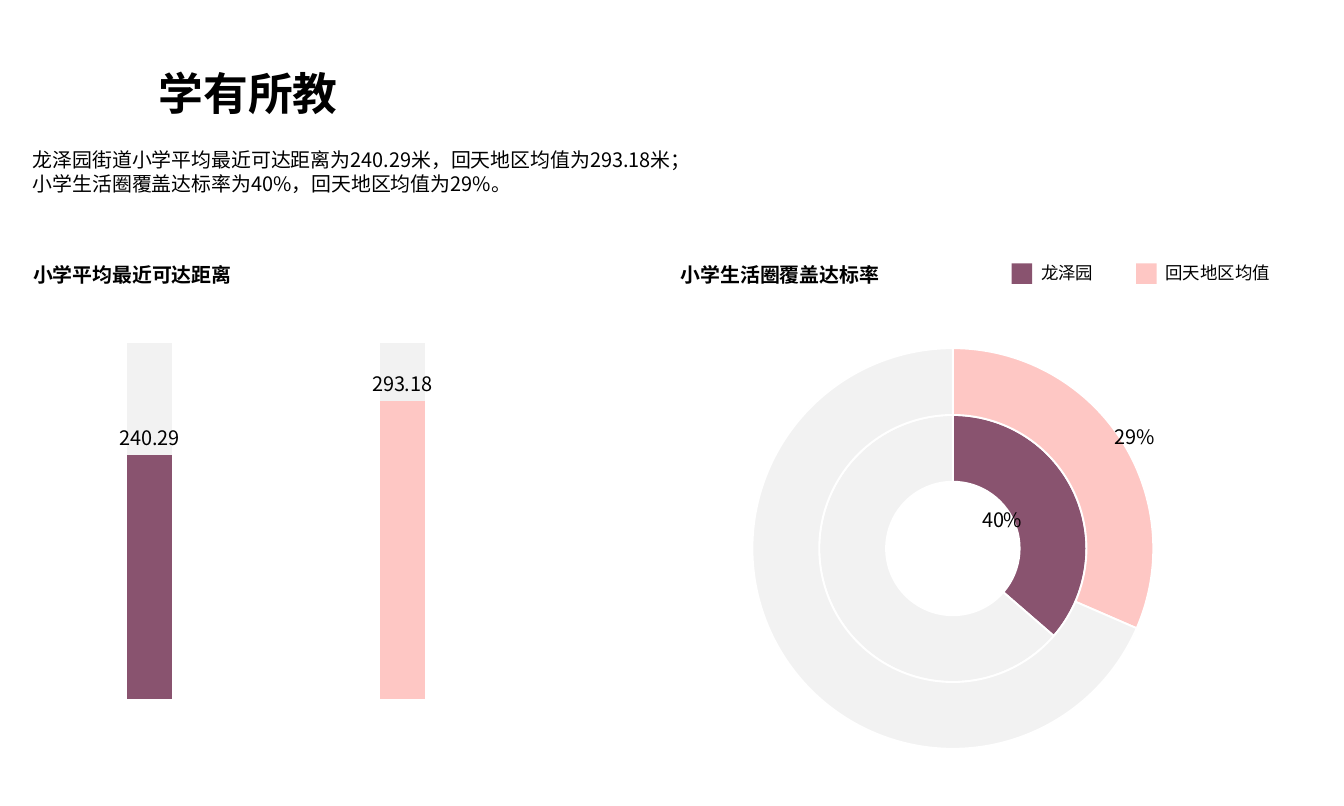
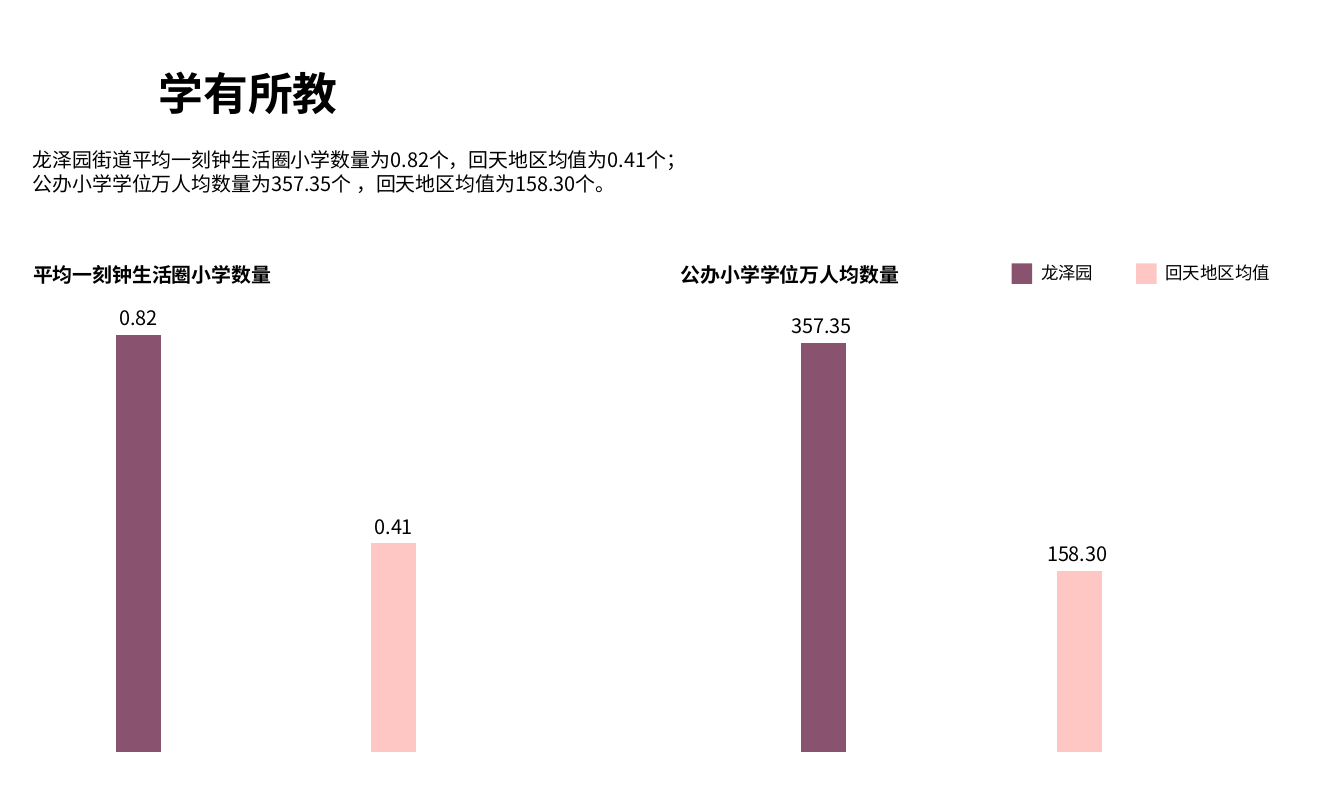
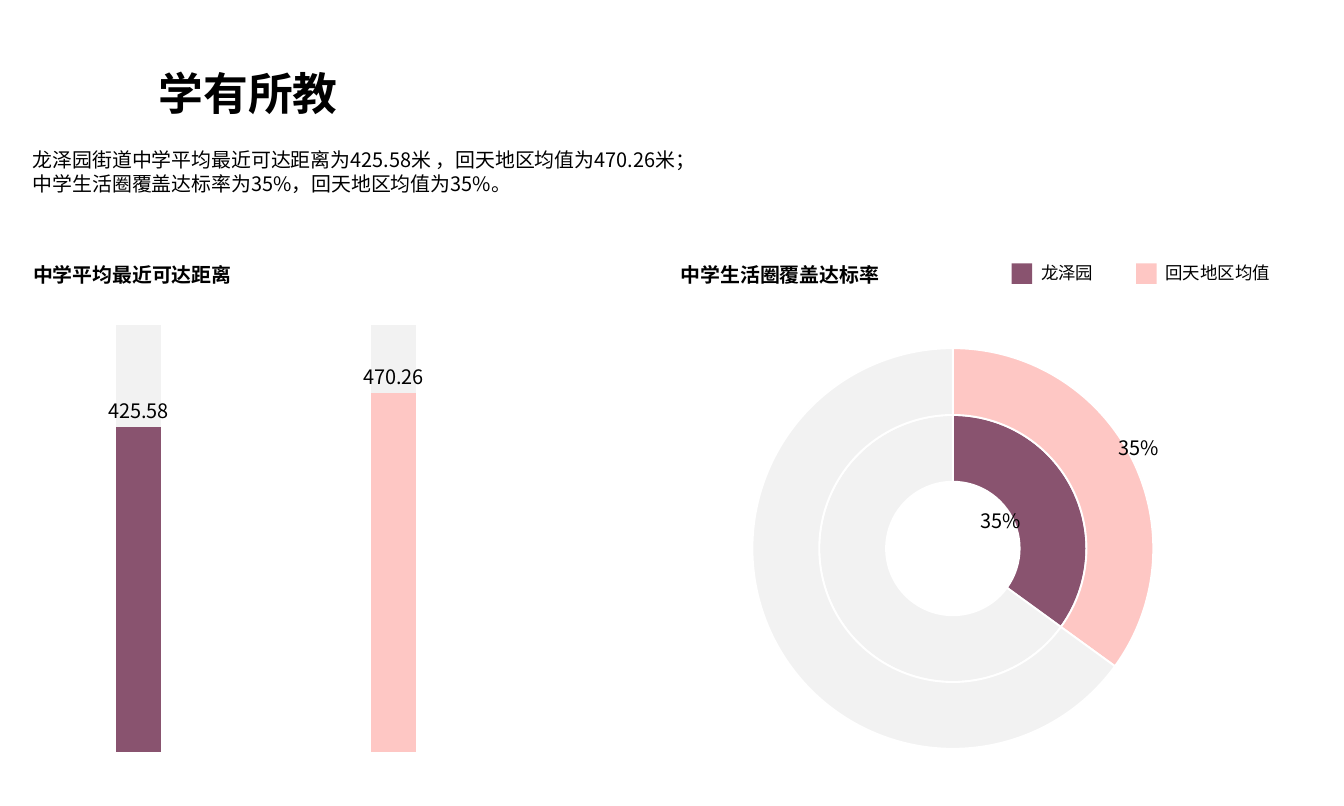
from pptx import Presentation
from pptx.chart.data import CategoryChartData as ChartData
from pptx.dml.color import RGBColor
from pptx.enum.chart import XL_CHART_TYPE as ChartType, XL_LABEL_POSITION as LabelPosition
from pptx.enum.shapes import MSO_SHAPE as Shape
from pptx.enum.text import MSO_ANCHOR as Anchor, MSO_AUTO_SIZE as AutoSize
from pptx.oxml import parse_xml
from pptx.oxml.ns import nsdecls, qn
from pptx.util import Inches, Pt

# Shared style
COLORS = {"text": "000000", "local": "89536F", "region": "FEC7C4",
          "rest": "F2F2F2", "edge": "FFFFFF"}
FONT = "Noto Sans CJK SC"
COLUMNS, ROWS = 150, 90
LEFT, RIGHT = 2.7, 75
HEADING_ROW = 28.8
BARS_LEFT, BARS_RIGHT = (0, 31.8, 59.4, 53.2), (76.5, 31.8, 59.4, 53.2)
RINGS = (77.1, 37.5, 58.5, 47.5)
LEGEND = [("龙泽园", "local", 112.9, 7.9), ("回天地区均值", "region", 126.8, 13.8)]


class Deck:
    def __init__(self):
        self.presentation = Presentation()
        self.presentation.slide_width = Inches(15)
        self.presentation.slide_height = Inches(9)
        self.slide = None

    def box(self, left, top, width, height):
        column = self.presentation.slide_width / COLUMNS
        row = self.presentation.slide_height / ROWS
        return (round(left * column), round(top * row),
                round(width * column), round(height * row))

    def style_font(self, font, size, bold=False):
        font.size, font.bold, font.name = Pt(size), bold, FONT
        font.color.rgb = RGBColor.from_string(COLORS["text"])
        font._rPr.append(parse_xml(f'<a:ea {nsdecls("a")} typeface="{FONT}"/>'))

    def fill(self, item, color):
        item.fill.solid()
        item.fill.fore_color.rgb = RGBColor.from_string(COLORS[color])

    def text(self, lines, area, size=16, bold=False, wrap=True,
             anchor=Anchor.TOP, spacing=None, shapes=None):
        shape = (shapes or self.slide.shapes).add_textbox(*self.box(*area))
        frame = shape.text_frame
        frame.word_wrap, frame.vertical_anchor = wrap, anchor
        frame.auto_size = AutoSize.SHAPE_TO_FIT_TEXT
        for index, line in enumerate(lines):
            paragraph = frame.add_paragraph() if index else frame.paragraphs[0]
            paragraph.line_spacing = spacing
            run = paragraph.add_run()
            run.text = line
            self.style_font(run.font, size, bold)

    def heading(self, text, left):
        # Each character is 16 pt wide; the box adds an inset at both sides
        width = len(text) * 2.22 + 2
        self.text([text], (left, HEADING_ROW, width, 3.7), bold=True, wrap=False)

    def legend(self):
        shapes = self.slide.shapes.add_group_shape().shapes
        for name, color, left, width in LEGEND:
            self.text([name], (left + 2.3, HEADING_ROW, width, 3.4), 14,
                      wrap=False, shapes=shapes)
            swatch = shapes.add_shape(Shape.RECTANGLE, *self.box(left, 29.4, 2.3, 2.3))
            swatch.shadow.inherit = False
            self.fill(swatch, color)
            swatch.line.fill.background()

    def page(self, sentences, left_heading, right_heading):
        self.slide = self.presentation.slides.add_slide(
            self.presentation.slide_layouts[6])
        self.text(["学有所教"], (16.7, 3.9, 30.4, 9), 36, bold=True, spacing=1.5)
        self.text(sentences, (LEFT, 16, 144.6, 6.4), anchor=Anchor.MIDDLE)
        self.heading(left_heading, LEFT)
        self.heading(right_heading, RIGHT)
        self.legend()

    def chart(self, kind, area, series_values):
        data = ChartData()
        data.categories = ["1", "2"]
        for number, values in enumerate(series_values, 1):
            data.add_series(f"Series {number}", values)
        chart = self.slide.shapes.add_chart(kind, *self.box(*area), data).chart
        chart.has_legend = chart.has_title = False
        self.style_font(chart.font, 16)
        chart.plots[0].vary_by_categories = False
        return chart

    def labels(self, series, number_format):
        labels = series.data_labels
        labels.show_value = True
        labels.number_format, labels.number_format_is_linked = number_format, False
        self.style_font(labels.font, 16)
        return labels

    def bars(self, area, values, full=None, number_format="General", plot_area=None):
        backdrop = [(full, full)] if full else []
        chart = self.chart(ChartType.COLUMN_CLUSTERED, area, backdrop + [values])
        for axis in (chart.category_axis, chart.value_axis):
            axis.visible = axis.has_major_gridlines = False
        chart.value_axis.minimum_scale = 0
        plot = chart.plots[0]
        plot.gap_width, plot.overlap = 464, 100 if full else -27
        if full:
            self.fill(plot.series[0].format, "rest")
        series = plot.series[-1]
        for index, color in enumerate(("local", "region")):
            self.fill(series.points[index].format, color)
        self.labels(series, number_format).position = LabelPosition.OUTSIDE_END
        if plot_area:
            element = chart._chartSpace.chart.plotArea
            for old in element.findall(qn("c:layout")):
                element.remove(old)
            element.insert(0, self.layout(plot_area, inner=True))

    def layout(self, shares, inner=False):
        parts = '<c:layoutTarget val="inner"/>' if inner else ""
        if inner:
            parts += '<c:xMode val="edge"/><c:yMode val="edge"/>'
        parts += "".join(f'<c:{name} val="{share}"/>' for name, share in zip("xywh", shares))
        return parse_xml(f'<c:layout {nsdecls("c")}><c:manualLayout>{parts}'
                         '</c:manualLayout></c:layout>')

    def rings(self, series_values, label_shifts):
        chart = self.chart(ChartType.DOUGHNUT, RINGS, series_values)
        plot = chart.plots[0]
        plot._element.find(qn("c:holeSize")).set("val", "75")
        for series, color, shift in zip(plot.series, ("local", "region"), label_shifts):
            labels = self.labels(series, "0%")
            for index, slice_color in enumerate((color, "rest")):
                point = series.points[index]
                self.fill(point.format, slice_color)
                point.format.line.color.rgb = RGBColor.from_string(COLORS["edge"])
                point.format.line.width = Pt(1.5)
                self.style_font(point.data_label.font, 16)
            shown, hidden = labels._element.findall(qn("c:dLbl"))
            shown.insert(1, self.layout(shift))
            shown.insert(2, parse_xml(
                f'<c:numFmt {nsdecls("c")} formatCode="0%" sourceLinked="0"/>'))
            hidden.find(qn("c:showVal")).set("val", "0")


deck = Deck()

# Primary schools: distance and coverage
deck.page(["龙泽园街道小学平均最近可达距离为240.29米，回天地区均值为293.18米；",
           "小学生活圈覆盖达标率为40%，回天地区均值为29%。"],
          "小学平均最近可达距离", "小学生活圈覆盖达标率")
deck.bars(BARS_LEFT, (240.29, 293.18), full=350, plot_area=(0.044, 0.016, 0.949, 0.853))
deck.rings([(0.4, 0.7), (0.29, 0.63)], [(-0.08, 0.03), (0.08, -0.05)])

# Primary schools: number and places
deck.page(["龙泽园街道平均一刻钟生活圈小学数量为0.82个，回天地区均值为0.41个；",
           "公办小学学位万人均数量为357.35个 ，回天地区均值为158.30个。"],
          "平均一刻钟生活圈小学数量", "公办小学学位万人均数量")
deck.bars(BARS_LEFT, (0.82, 0.41))
deck.bars(BARS_RIGHT, (357.35, 158.3), number_format="0.00_ ")

# Middle schools: distance and coverage
deck.page(["龙泽园街道中学平均最近可达距离为425.58米 ，回天地区均值为470.26米；",
           "中学生活圈覆盖达标率为35%，回天地区均值为35%。"],
          "中学平均最近可达距离", "中学生活圈覆盖达标率")
deck.bars(BARS_LEFT, (425.58, 470.26), full=560)
deck.rings([(0.35, 0.65), (0.35, 0.65)], [(-0.08, 0.04), (0.07, -0.06)])

deck.presentation.save("out.pptx")
